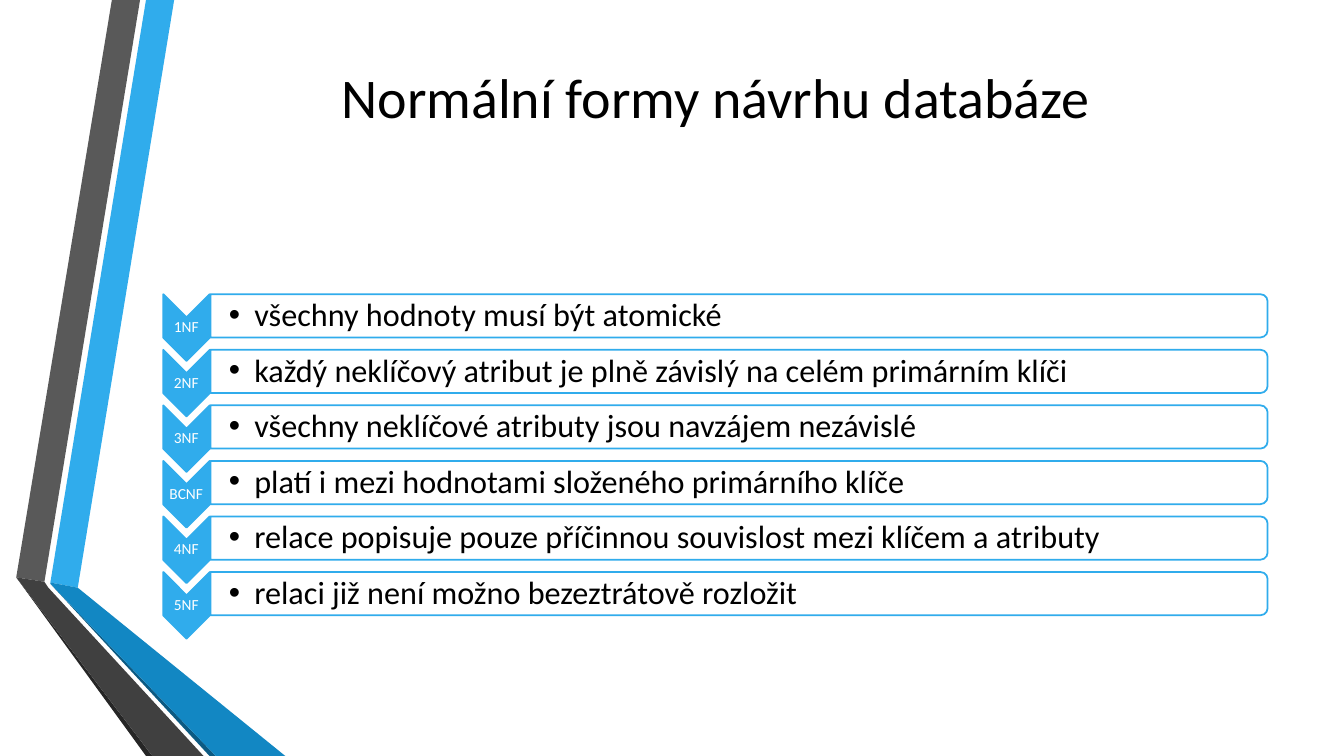
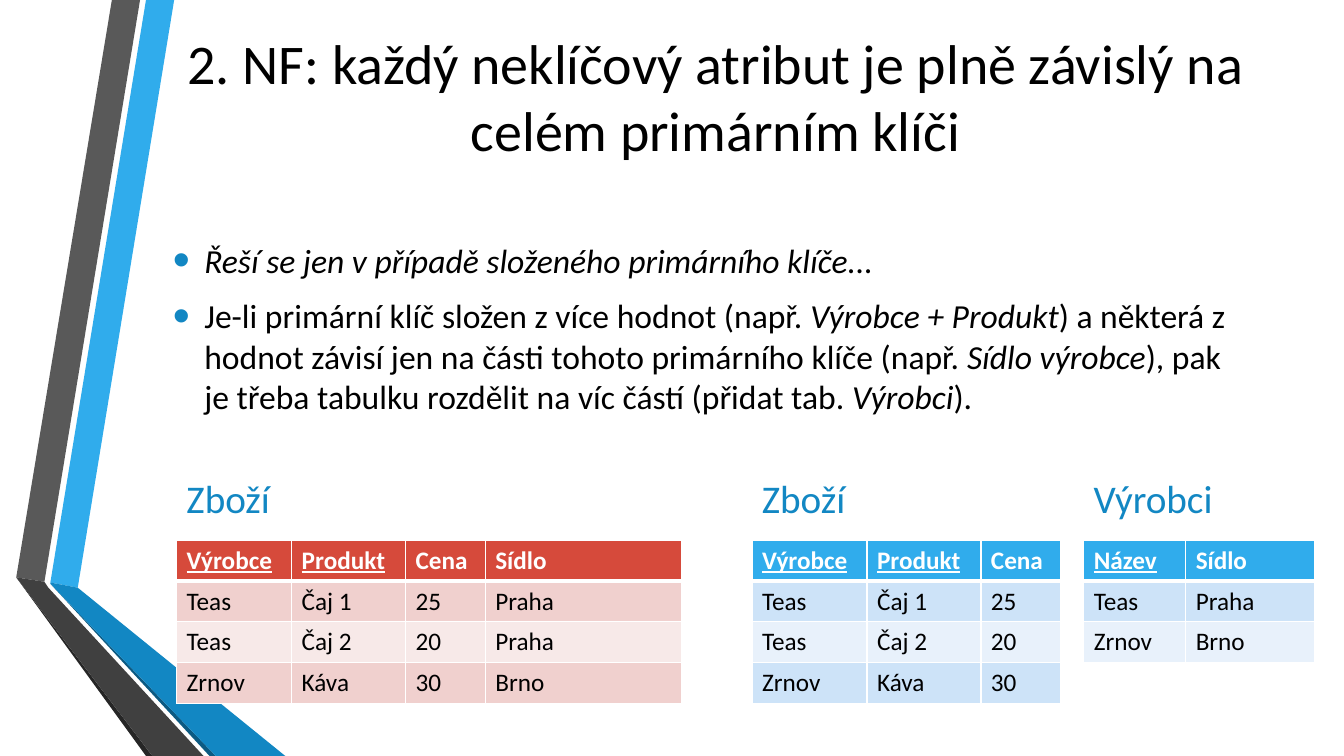
import dataclasses

import lxml.etree
import pptx
import pptx.dml.color
import pptx.enum.shapes
import pptx.enum.text
import pptx.oxml.ns
import pptx.util

Cm, Pt = pptx.util.Cm, pptx.util.Pt
Rgb = pptx.dml.color.RGBColor.from_string
Anchor = pptx.enum.text.MSO_ANCHOR
Align = pptx.enum.text.PP_ALIGN
Kind = pptx.enum.shapes.MSO_SHAPE


@dataclasses.dataclass(frozen=True)
class Theme:
    font: str = "Calibri"
    ink: str = "000000"
    paper: str = "FFFFFF"
    sky: str = "30ACEC"
    blue: str = "1287C3"
    navy: str = "0C5A82"
    ash: str = "595959"
    slate: str = "404040"
    coal: str = "262626"
    reds: tuple = ("D64A3B", "F0D0CE", "F7E9E8")
    blues: tuple = ("30ACEC", "CDE3F8", "E8F1FB")
    title: int = 40
    head: int = 28
    body: int = 24
    item: int = 23
    cell: int = 18
    label: int = 11


theme = Theme()

looks = {
    "title": {
        "tint": theme.ink,
        "frame": {"vertical_anchor": Anchor.MIDDLE},
        "para": {"alignment": Align.CENTER},
        "font": {"size": Pt(theme.title)},
    },
    "label": {
        "tint": theme.paper,
        "frame": {"vertical_anchor": Anchor.MIDDLE, "margin_left": Cm(0.03), "margin_right": Cm(0.03),
                  "margin_top": Cm(0.03), "margin_bottom": Cm(0.03)},
        "para": {"alignment": Align.CENTER, "line_spacing": 0.9},
        "font": {"size": Pt(theme.label)},
    },
    "item": {
        "tint": theme.ink,
        "frame": {"vertical_anchor": Anchor.MIDDLE, "margin_left": Cm(0.46), "margin_right": Cm(0.05),
                  "margin_top": Cm(0.05), "margin_bottom": Cm(0.05)},
        "para": {"level": 1, "line_spacing": 0.9},
        "font": {"size": Pt(theme.item)},
        "bullet": {"indent": Cm(0.64), "tint": theme.ink, "size": 100},
    },
    "body": {
        "tint": theme.ink,
        "frame": {"vertical_anchor": Anchor.MIDDLE},
        "para": {"space_before": Pt(5), "space_after": Pt(6)},
        "font": {"size": Pt(theme.body)},
        "bullet": {"indent": Cm(0.79), "tint": theme.blue, "size": 145},
    },
    "head": {
        "tint": theme.blue,
        "frame": {"vertical_anchor": Anchor.BOTTOM},
        "para": {"space_before": Pt(6), "space_after": Pt(6)},
        "font": {"size": Pt(theme.head)},
    },
    "top": {
        "tint": theme.paper, "frame": {}, "para": {},
        "font": {"size": Pt(theme.cell), "bold": True},
    },
    "cell": {
        "tint": theme.ink, "frame": {}, "para": {},
        "font": {"size": Pt(theme.cell), "bold": False},
    },
}


def node(root, tag, **attrs):
    return lxml.etree.SubElement(root, pptx.oxml.ns.qn("a:" + tag), attrs)


def write(frame, look, *lines, **extra):
    look = looks[look]
    frame.word_wrap = True
    for key, value in look["frame"].items():
        setattr(frame, key, value)
    for row, line in enumerate(lines):
        para = frame.add_paragraph() if row else frame.paragraphs[0]
        for key, value in look["para"].items():
            setattr(para, key, value)
        if "bullet" in look:
            mark = look["bullet"]
            props = para._p.get_or_add_pPr()
            props.set("marL", str(mark["indent"]))
            props.set("indent", str(-mark["indent"]))
            node(node(props, "buClr"), "srgbClr", val=mark["tint"])
            node(props, "buSzPct", val=str(mark["size"] * 1000))
            node(props, "buFont", typeface="Arial")
            node(props, "buChar", char="•")
        for turn, part in enumerate(line.split("_")):
            if part:
                run = para.add_run()
                run.text = part
                run.font.color.rgb = Rgb(look["tint"])
                fonts = {"name": theme.font, "italic": turn % 2 == 1}
                for key, value in (fonts | look["font"] | extra).items():
                    setattr(run.font, key, value)


deck = pptx.Presentation()
deck.slide_width, deck.slide_height = Cm(33.87), Cm(19.05)

bands = [
    (theme.sky, [(1.27, 14.68), (1.96, 14.81), (4.39, 0), (3.68, 0)]),
    (theme.ash, [(3.53, 0), (2.82, 0), (0.41, 14.55), (1.12, 14.66)]),
    (theme.coal, [(0.41, 14.55), (3.68, 19.05), (3.84, 19.05)]),
    (theme.navy, [(1.27, 14.71), (5.28, 19.05), (5.44, 19.05)]),
    (theme.blue, [(1.27, 14.71), (5.44, 19.05), (7.19, 19.05), (1.96, 14.81), (1.27, 14.68)]),
    (theme.slate, [(5.13, 19.05), (1.22, 14.81), (1.12, 14.66), (0.41, 14.55), (3.84, 19.05)]),
]
titles = [
    "Normální formy návrhu databáze",
    "2. NF: každý neklíčový atribut je plně závislý na celém primárním klíči",
]
slides = []
for title in titles:
    slide = deck.slides.add_slide(deck.slide_layouts[6])
    slides.append(slide)
    for tint, points in bands:
        first, *rest = [(Cm(x), Cm(y)) for x, y in points]
        pen = slide.shapes.build_freeform(*first)
        pen.add_line_segments(rest, close=True)
        band = pen.convert_to_shape()
        band.shadow.inherit = False
        band.fill.solid()
        band.fill.fore_color.rgb = Rgb(tint)
        band.line.fill.background()
    box = slide.shapes.add_textbox(Cm(4.11), Cm(-0.03), Cm(27.84), Cm(4.88))
    write(box.text_frame, "title", title)

forms, split = slides

rules = [
    ("1NF", "všechny hodnoty musí být atomické"),
    ("2NF", "každý neklíčový atribut je plně závislý na celém primárním klíči"),
    ("3NF", "všechny neklíčové atributy jsou navzájem nezávislé"),
    ("BCNF", "platí i mezi hodnotami složeného primárního klíče"),
    ("4NF", "relace popisuje pouze příčinnou souvislost mezi klíčem a atributy"),
    ("5NF", "relaci již není možno bezeztrátově rozložit"),
]
pitch = 1.4
for row, (name, rule) in enumerate(rules):
    drop = row * pitch
    parts = [
        (Kind.CHEVRON, theme.sky, (3.86, 7.67, 1.68, 1.17), "label", name, (4.11, 8, 1.17, 0.51)),
        (Kind.ROUND_2_SAME_RECTANGLE, theme.paper, (18.08, -5.36, 1.09, 26.64), "item", rule,
         (5.31, 7.47, 26.59, 0.99)),
    ]
    for kind, tint, (x, y, wide, high), look, text, (left, top, span, tall) in parts:
        shape = forms.shapes.add_shape(kind, Cm(x), Cm(y + drop), Cm(wide), Cm(high))
        shape.rotation = 90
        shape.shadow.inherit = False
        shape.fill.solid()
        shape.fill.fore_color.rgb = Rgb(tint)
        shape.line.color.rgb = Rgb(theme.sky)
        shape.line.width = Pt(1.25)
        box = forms.shapes.add_textbox(Cm(left), Cm(top + drop), Cm(span), Cm(tall))
        write(box.text_frame, look, text)

box = split.shapes.add_textbox(Cm(4.11), Cm(5.11), Cm(27.13), Cm(6.3))
write(
    box.text_frame, "body",
    "_Řeší se jen v případě složeného primárního klíče..._",
    "Je-li primární klíč složen z více hodnot (např. _Výrobce + Produkt_) a některá z hodnot závisí "
    "jen na části tohoto primárního klíče (např. _Sídlo výrobce_), pak je třeba tabulku rozdělit "
    "na víc částí (přidat tab. _Výrobci_).",
)

goods = [
    ("Výrobce", "Produkt", "Cena", "Sídlo"),
    ("Teas", "Čaj 1", "25", "Praha"),
    ("Teas", "Čaj 2", "20", "Praha"),
    ("Zrnov", "Káva", "30", "Brno"),
]
makers = [("Název", "Sídlo"), ("Teas", "Praha"), ("Zrnov", "Brno")]
widths = [2.9, 2.87, 2.01, 4.95]
grids = [
    ("Zboží", 4.45, 10.49, theme.reds, 2, widths, goods),
    ("Výrobci", 27.31, 4.67, theme.blues, 1, [2.57, 3.25], makers),
    ("Zboží", 18.95, 6.71, theme.blues, 2, widths[:3], [row[:3] for row in goods]),
]
tall = 1.03
for name, left, span, tints, keys, cols, rows in grids:
    box = split.shapes.add_textbox(Cm(left), Cm(11.66), Cm(span), Cm(1.6))
    write(box.text_frame, "head", name)
    grid = split.shapes.add_table(
        len(rows), len(cols), Cm(left), Cm(13.61), Cm(sum(cols)), Cm(tall * len(rows))
    ).table
    for col, wide in zip(grid.columns, cols):
        col.width = Cm(wide)
    for r, row in enumerate(rows):
        grid.rows[r].height = Cm(tall)
        for c, text in enumerate(row):
            cell = grid.cell(r, c)
            props = cell._tc.get_or_add_tcPr()
            for side in "LRTB":
                thick = (r, side) in ((0, "B"), (1, "T"))
                edge = node(props, "ln" + side, w=str(Pt(3 if thick else 1)))
                node(node(edge, "solidFill"), "srgbClr", val=theme.paper)
            cell.fill.solid()
            cell.fill.fore_color.rgb = Rgb(tints[0 if r == 0 else 2 - r % 2])
            write(cell.text_frame, "cell" if r else "top", text, underline=r == 0 and c < keys)

deck.save("out.pptx")
